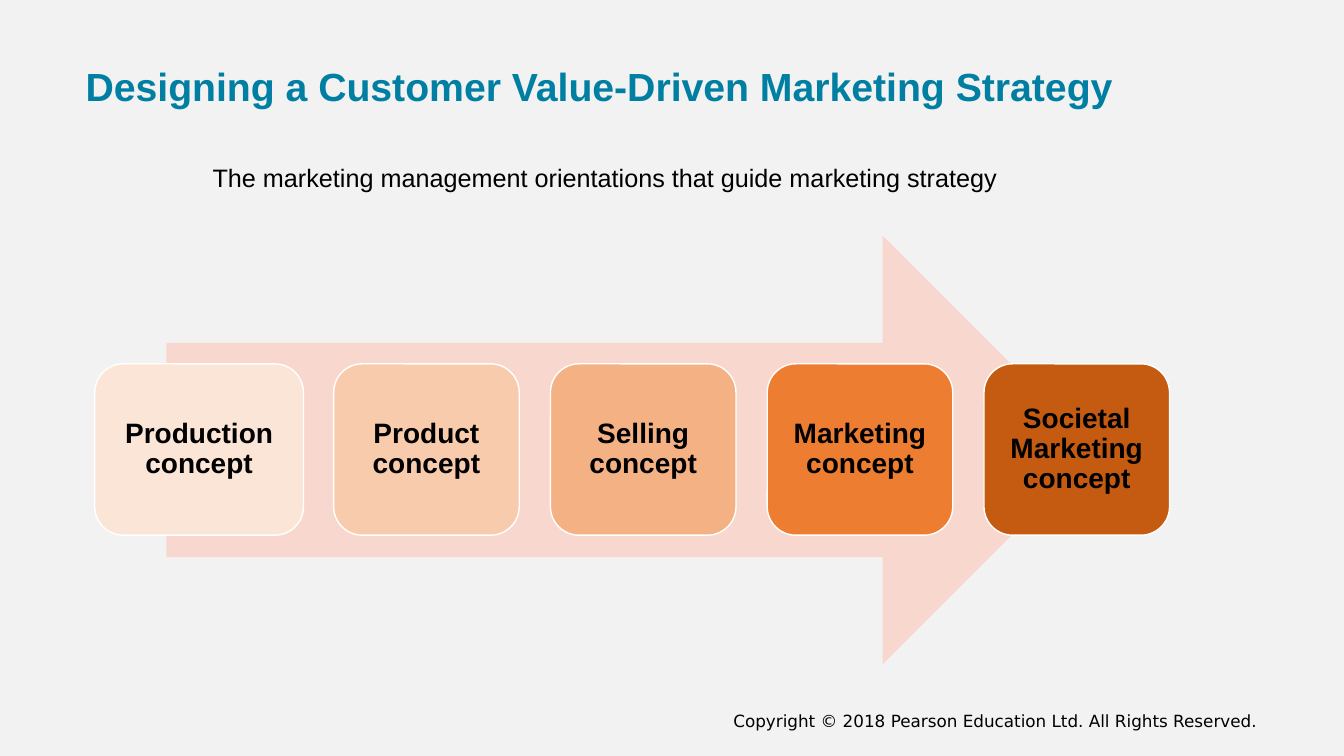
from pptx import Presentation
from pptx.dml.color import RGBColor
from pptx.enum.shapes import MSO_SHAPE
from pptx.enum.text import MSO_ANCHOR, PP_ALIGN
from pptx.util import Inches, Pt

ROUNDED, ARROW = MSO_SHAPE.ROUNDED_RECTANGLE, MSO_SHAPE.RIGHT_ARROW
TOP, MIDDLE = MSO_ANCHOR.TOP, MSO_ANCHOR.MIDDLE
LEFT, CENTER, RIGHT = PP_ALIGN.LEFT, PP_ALIGN.CENTER, PP_ALIGN.RIGHT

BACKGROUND = RGBColor(0xF2, 0xF2, 0xF2)
TEAL = RGBColor(0x00, 0x7F, 0xA3)
BLACK = RGBColor(0x00, 0x00, 0x00)
WHITE = RGBColor(0xFF, 0xFF, 0xFF)
ARROW_PINK = RGBColor(0xF8, 0xD7, 0xCE)

CONCEPTS = [
    ("Production concept", RGBColor(0xFB, 0xE5, 0xD6)),
    ("Product concept", RGBColor(0xF8, 0xCB, 0xAD)),
    ("Selling concept", RGBColor(0xF4, 0xB1, 0x83)),
    ("Marketing concept", RGBColor(0xED, 0x7D, 0x31)),
    ("Societal Marketing concept", RGBColor(0xC5, 0x5A, 0x11)),
]


def write(shape, text, size, color=BLACK, bold=False, align=LEFT,
          anchor=TOP, spacing=1.0, font="Arial"):
    frame = shape.text_frame
    frame.word_wrap = True
    frame.vertical_anchor = anchor
    paragraph = frame.paragraphs[0]
    paragraph.text = text
    paragraph.alignment = align
    paragraph.line_spacing = spacing
    paragraph.font.name = font
    paragraph.font.size = Pt(size)
    paragraph.font.bold = bold
    paragraph.font.color.rgb = color


def add_filled(preset, left, top, width, height, color):
    shape = slide.shapes.add_shape(
        preset, Inches(left), Inches(top), Inches(width), Inches(height))
    shape.shadow.inherit = False
    shape.fill.solid()
    shape.fill.fore_color.rgb = color
    return shape


prs = Presentation()
prs.slide_width, prs.slide_height = Inches(13.33), Inches(7.5)
slide = prs.slides.add_slide(prs.slide_layouts[6])
slide.background.fill.solid()
slide.background.fill.fore_color.rgb = BACKGROUND

copyright_line = slide.shapes.add_textbox(
    Inches(5.08), Inches(7), Inches(7.49), Inches(0.37))
write(copyright_line, "Copyright © 2018 Pearson Education Ltd. All Rights Reserved.",
      12, align=RIGHT, font="DejaVu Sans")

title = slide.shapes.add_textbox(
    Inches(0.75), Inches(0.49), Inches(10.52), Inches(0.79))
write(title, "Designing a Customer Value-Driven Marketing Strategy",
      28, TEAL, bold=True, anchor=MIDDLE, spacing=0.9)

arrow = add_filled(ARROW, 1.65, 2.34, 9.23, 4.25, ARROW_PINK)
arrow.line.fill.background()

# The first card is wider; the others share one width and pitch.
for i, (concept, color) in enumerate(CONCEPTS):
    left, width = (0.94, 2.07) if i == 0 else (3.31 + 2.15 * (i - 1), 1.84)
    card = add_filled(ROUNDED, left, 3.61, width, 1.7, color)
    card.line.color.rgb = WHITE
    card.line.width = Pt(1)
    frame = card.text_frame
    frame.margin_left = frame.margin_right = Inches(0.08)
    frame.margin_top = frame.margin_bottom = Inches(0.08)
    write(card, concept, 20, bold=True, align=CENTER, anchor=MIDDLE, spacing=0.9)

subtitle = slide.shapes.add_textbox(
    Inches(2.01), Inches(1.56), Inches(8.18), Inches(0.4))
write(subtitle, "The marketing management orientations that guide marketing strategy", 18)

prs.save("out.pptx")
